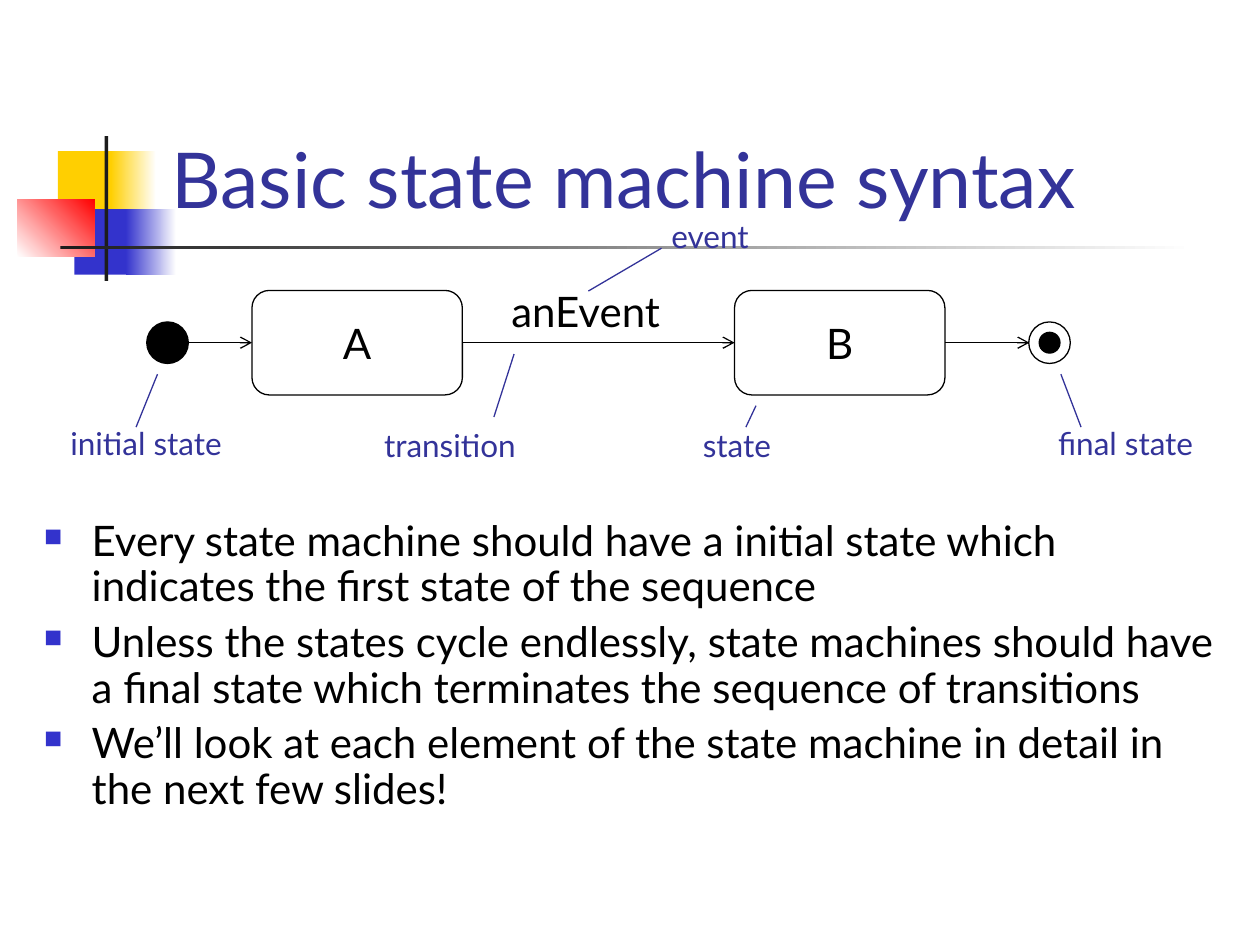
from lxml import etree
from pptx import Presentation
from pptx import util as u
from pptx.dml.color import RGBColor
from pptx.enum import shapes, text
from pptx.oxml.ns import qn

FONT = "Lato"
BLACK, WHITE, INDIGO, BLUE = "000000", "FFFFFF", "333399", "3333CC"
YELLOW, RED, CHARCOAL = "FFCF01", "FF0000", "1C1C1C"
AXIS = 2.72
DOT = 0.33
STATE_WIDTH, STATE_HEIGHT = 1.67, 0.83

TITLE = "Basic state machine syntax"
BULLETS = [
    "Every state machine should have a initial state which indicates the first state of the sequence",
    "Unless the states cycle endlessly, state machines should have a final state which terminates the sequence of transitions",
    "We’ll look at each element of the state machine in detail in the next few slides!",
]
DECORATIONS = [
    ((0.46, 1.2, 0.48, 0.52), (YELLOW,), 0),
    ((0.88, 1.2, 0.36, 0.52), (YELLOW, WHITE), 0),
    ((0.59, 1.66, 0.46, 0.52), (BLUE,), 0),
    ((1, 1.66, 0.4, 0.52), (BLUE, WHITE), 0),
    ((0.14, 1.58, 0.61, 0.46), (WHITE, RED), 45),
    ((0.83, 1.08, 0.03, 1.15), (CHARCOAL,), 0),
    ((0.48, 1.95, 9, 0.03), (CHARCOAL, WHITE), 0),
]
STATES = [("A", 2), ("B", 5.83)]
TRANSITIONS = [(1.5, 2), (3.67, 5.83), (7.5, 8.17)]
CALLOUTS = [
    ("initial state", (0.46, 3.32, 1.49, 0.4), (1.08, 3.39), (1.25, 2.97)),
    ("transition", (2.95, 3.33, 1.33, 0.4), (3.92, 3.31), (4.08, 2.81)),
    ("event", (5.23, 1.67, 0.85, 0.4), (4.67, 2.31), (5.25, 1.97)),
    ("state", (5.48, 3.33, 0.78, 0.4), (5.92, 3.39), (6, 3.22)),
    ("final state", (8.3, 3.32, 1.35, 0.4), (8.58, 3.39), (8.42, 2.97)),
]


def color(value):
    return RGBColor.from_string(value)


def inches(values):
    return [u.Inches(value) for value in values]


def write(frame, lines, size, ink, align=text.PP_ALIGN.LEFT):
    frame.text = "\n".join(lines)
    for paragraph in frame.paragraphs:
        paragraph.alignment = align
        font = paragraph.runs[0].font
        font.name, font.size = FONT, u.Pt(size)
        font.color.rgb = color(ink)


def add_figure(parent, kind, box, colors=(), line=None, angle=0):
    shape = parent.add_shape(kind, *inches(box))
    shape.shadow.inherit = False
    if len(colors) == 2:
        shape.fill.gradient()
        shape.fill.gradient_angle = angle
        for stop, value, position in zip(shape.fill.gradient_stops, colors, (0, 1)):
            stop.color.rgb = color(value)
            stop.position = position
    elif colors:
        shape.fill.solid()
        shape.fill.fore_color.rgb = color(colors[0])
    else:
        shape.fill.background()
    if line:
        shape.line.color.rgb = color(line)
        shape.line.width = u.Pt(0.75)
    else:
        shape.line.fill.background()
    return shape


def add_circle(parent, center, diameter, colors=()):
    box = (center - diameter / 2, AXIS - diameter / 2, diameter, diameter)
    return add_figure(parent, shapes.MSO_SHAPE.OVAL, box, colors, BLACK)


def add_line(parent, start, end, ink, arrow=False):
    connector = parent.add_connector(shapes.MSO_CONNECTOR.STRAIGHT, *inches(start + end))
    connector.line.color.rgb = color(ink)
    connector.line.width = u.Pt(0.75)
    if arrow:
        etree.SubElement(connector.line._get_or_add_ln(), qn("a:tailEnd"), type="arrow")
    etree.SubElement(connector._element.spPr, qn("a:effectLst"))


def add_label(parent, words, box, size, ink):
    frame = parent.add_textbox(*inches(box)).text_frame
    frame.word_wrap = False
    write(frame, [words], size, ink)


def add_bullet(paragraph):
    paragraph.line_spacing = 0.9
    paragraph.space_before = u.Pt(6)
    properties = paragraph._p.get_or_add_pPr()
    properties.set("marL", str(u.Inches(0.38)))
    properties.set("indent", str(-u.Inches(0.38)))
    bullet_color = etree.SubElement(properties, qn("a:buClr"))
    etree.SubElement(bullet_color, qn("a:srgbClr"), val=BLUE)
    etree.SubElement(properties, qn("a:buSzPct"), val="60000")
    etree.SubElement(properties, qn("a:buChar"), char="■")


def main():
    presentation = Presentation()
    presentation.slide_width, presentation.slide_height = inches((10, 7.5))
    slide = presentation.slides.add_slide(presentation.slide_layouts[5])
    items = slide.shapes

    for box, colors, angle in DECORATIONS:
        add_figure(items, shapes.MSO_SHAPE.RECTANGLE, box, colors, angle=angle)

    title = items.title
    items._spTree.append(title._element)
    title.left, title.top, title.width, title.height = inches((1.26, 0.23, 8.52, 1.6))
    title.text_frame.vertical_anchor = text.MSO_ANCHOR.BOTTOM
    title.text_frame.auto_size = text.MSO_AUTO_SIZE.NONE
    write(title.text_frame, [TITLE], 44, INDIGO)

    body = items.add_textbox(*inches((0.25, 4.08, 9.54, 3))).text_frame
    body.word_wrap = True
    write(body, BULLETS, 24, BLACK)
    for paragraph in body.paragraphs:
        add_bullet(paragraph)

    for name, left in STATES:
        box = (left, AXIS - STATE_HEIGHT / 2, STATE_WIDTH, STATE_HEIGHT)
        state = add_figure(items, shapes.MSO_SHAPE.ROUNDED_RECTANGLE, box, (WHITE,), BLACK)
        state.text_frame.word_wrap = False
        state.text_frame.vertical_anchor = text.MSO_ANCHOR.MIDDLE
        write(state.text_frame, [name], 24, BLACK, text.PP_ALIGN.CENTER)

    add_circle(items, 1.33, DOT, (BLACK,))
    final_state = items.add_group_shape().shapes
    add_circle(final_state, 8.33, DOT / 2, (BLACK,))
    add_circle(final_state, 8.33, DOT)

    for start, end in TRANSITIONS:
        add_line(items, (start, AXIS), (end, AXIS), BLACK, arrow=True)
    add_label(items, "anEvent", (3.96, 2.22, 1.46, 0.5), 24, BLACK)

    for words, box, start, end in CALLOUTS:
        add_label(items, words, box, 18, INDIGO)
        add_line(items, start, end, INDIGO)

    presentation.save("out.pptx")


if __name__ == "__main__":
    main()
